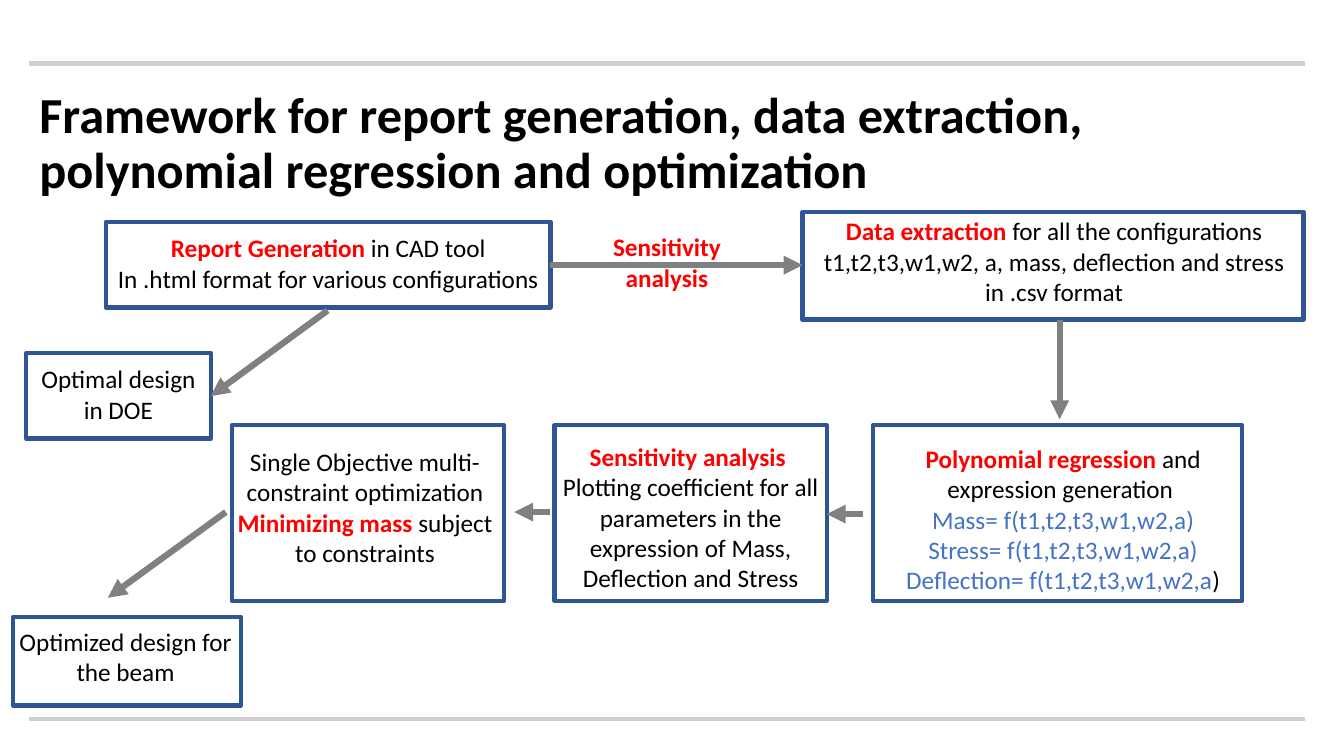
from pptx import Presentation
from pptx.dml.color import RGBColor
from pptx.enum.shapes import MSO_CONNECTOR, MSO_SHAPE
from pptx.enum.text import MSO_ANCHOR, MSO_AUTO_SIZE, PP_ALIGN
from pptx.oxml.ns import qn
from pptx.util import Inches, Pt
from lxml.etree import SubElement

BLACK = RGBColor(0x00, 0x00, 0x00)
RED = RGBColor(0xFF, 0x00, 0x00)
BLUE = RGBColor(0x44, 0x72, 0xC4)
FRAME_BLUE = RGBColor(0x2F, 0x55, 0x97)
ARROW_GRAY = RGBColor(0x80, 0x80, 0x80)
RULE_GRAY = RGBColor(0xD0, 0xCE, 0xCE)


def add_span(para, text, size, color, bold):
    span = para.add_run()
    span.text = text
    span.font.name = "Calibri"
    span.font.size = Pt(size)
    span.font.bold = bold
    span.font.color.rgb = color


def add_line(page, start, end, color, width):
    points = [Inches(value) for value in start + end]
    line = page.shapes.add_connector(MSO_CONNECTOR.STRAIGHT, *points)
    line.line.color.rgb = color
    line.line.width = Pt(width)
    SubElement(line._element.spPr, qn("a:effectLst"))
    return line


deck = Presentation()
deck.slide_width = Inches(13.33)
deck.slide_height = Inches(7.5)
page = deck.slides.add_slide(deck.slide_layouts[5])

title = page.shapes.title
title.left, title.top = Inches(0.29), Inches(0.71)
title.width, title.height = Inches(12.81), Inches(1.45)
title.text_frame.word_wrap = True
title.text_frame.auto_size = MSO_AUTO_SIZE.NONE
title.text_frame.vertical_anchor = MSO_ANCHOR.MIDDLE
para = title.text_frame.paragraphs[0]
para.alignment = PP_ALIGN.LEFT
para.line_spacing = 0.9
add_span(
    para,
    "Framework for report generation, data extraction, polynomial regression and optimization",
    36, BLACK, True,
)

for rule_top in (0.63, 7.13):
    add_line(page, (0.29, rule_top), (12.94, rule_top), RULE_GRAY, 3)

frames = [
    (1.05, 2.2, 4.41, 0.85),
    (7.96, 2.1, 4.97, 1.07),
    (8.66, 4.22, 3.66, 1.74),
    (5.5, 4.22, 2.7, 1.74),
    (2.3, 4.22, 2.7, 1.74),
    (0.26, 3.5, 1.83, 0.85),
    (0.13, 6.12, 2.26, 0.88),
]
for place in frames:
    frame = page.shapes.add_shape(MSO_SHAPE.RECTANGLE, *[Inches(value) for value in place])
    frame.shadow.inherit = False
    frame.fill.background()
    frame.line.color.rgb = FRAME_BLUE
    frame.line.width = Pt(3)

arrows = [
    ((5.45, 2.63), (7.96, 2.63)),
    ((10.51, 3.17), (10.51, 4.16)),
    ((8.56, 5.1), (8.2, 5.1)),
    ((5.45, 5.08), (5.1, 5.08)),
    ((3.25, 3.08), (2.09, 3.93)),
    ((2.24, 5.08), (1.07, 5.93)),
]
for start, end in arrows:
    arrow = add_line(page, start, end, ARROW_GRAY, 4.5)
    SubElement(arrow.line._get_or_add_ln(), qn("a:tailEnd"), type="triangle")

steps = [
    ((1.05, 2.26, 4.41, 0.71), [
        [("Report Generation ", RED), ("in CAD tool", BLACK)],
        [("In .html format for various configurations", BLACK)],
    ]),
    ((8.05, 2.09, 4.81, 1.01), [
        [("Data extraction ", RED), ("for all the configurations", BLACK)],
        [("t1,t2,t3,w1,w2, a, mass, deflection and stress in .csv format", BLACK)],
    ]),
    ((8.88, 4.35, 3.33, 1.92), [
        [("Polynomial regression ", RED), ("and expression generation ", BLACK)],
        [("Mass= f(t1,t2,t3,w1,w2,a)", BLUE)],
        [("Stress= f(t1,t2,t3,w1,w2,a)", BLUE)],
        [("Deflection= f(t1,t2,t3,w1,w2,a", BLUE), (")", BLACK)],
    ]),
    ((5.48, 4.33, 2.74, 1.62), [
        [("Sensitivity analysis ", RED)],
        [("Plotting coefficient for all parameters in the expression of Mass, "
          "Deflection and Stress", BLACK)],
    ]),
    ((2.24, 4.38, 2.76, 1.31), [
        [("Single Objective multi-constraint optimization", BLACK)],
        [("Minimizing mass ", RED), ("subject to constraints", BLACK)],
    ]),
    ((0, 6.16, 2.49, 0.71), [[("Optimized design for the beam", BLACK)]]),
    ((0.31, 3.56, 1.73, 0.71), [[("Optimal design in DOE", BLACK)]]),
    ((5.66, 2.25, 1.91, 0.71), [[("Sensitivity analysis", RED)]]),
]
for place, lines in steps:
    box = page.shapes.add_textbox(*[Inches(value) for value in place])
    box.text_frame.word_wrap = True
    box.text_frame.auto_size = MSO_AUTO_SIZE.SHAPE_TO_FIT_TEXT
    for index, spans in enumerate(lines):
        para = box.text_frame.add_paragraph() if index else box.text_frame.paragraphs[0]
        para.alignment = PP_ALIGN.CENTER
        for text, color in spans:
            add_span(para, text, 18, color, color == RED)

deck.save("out.pptx")
